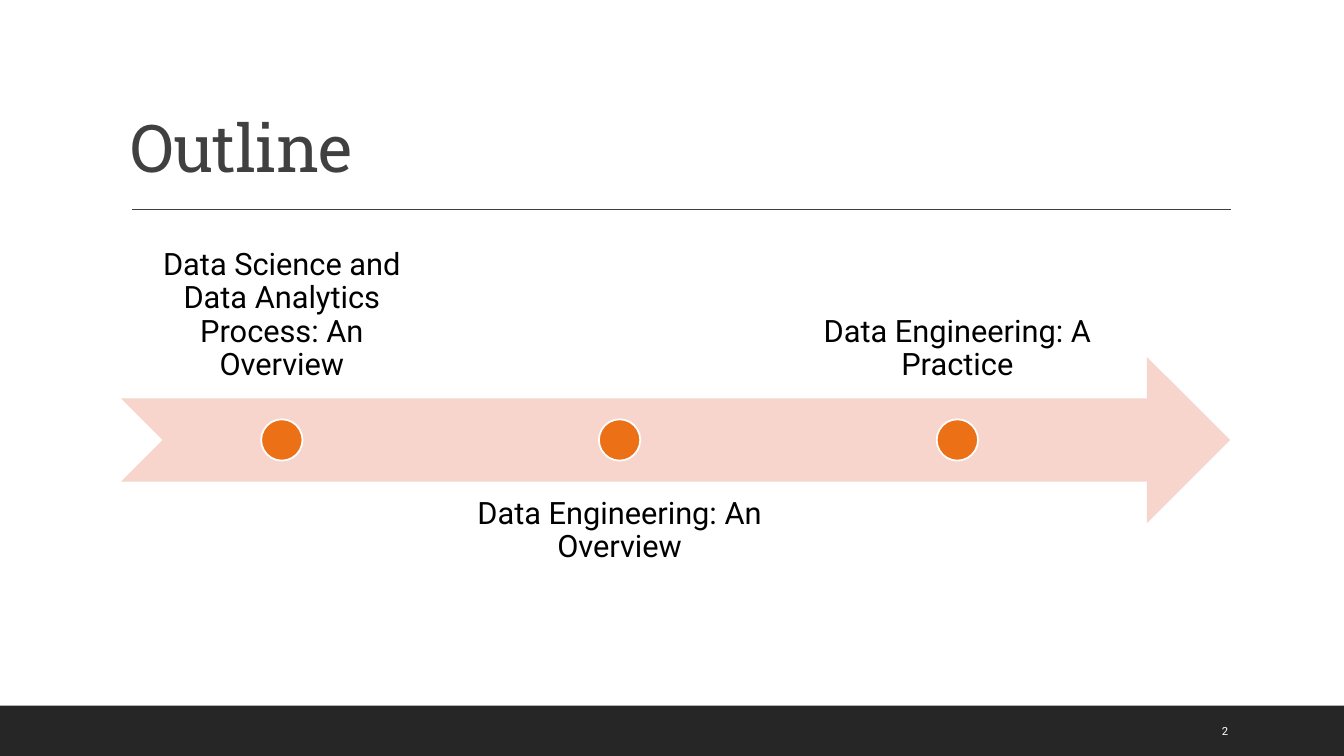
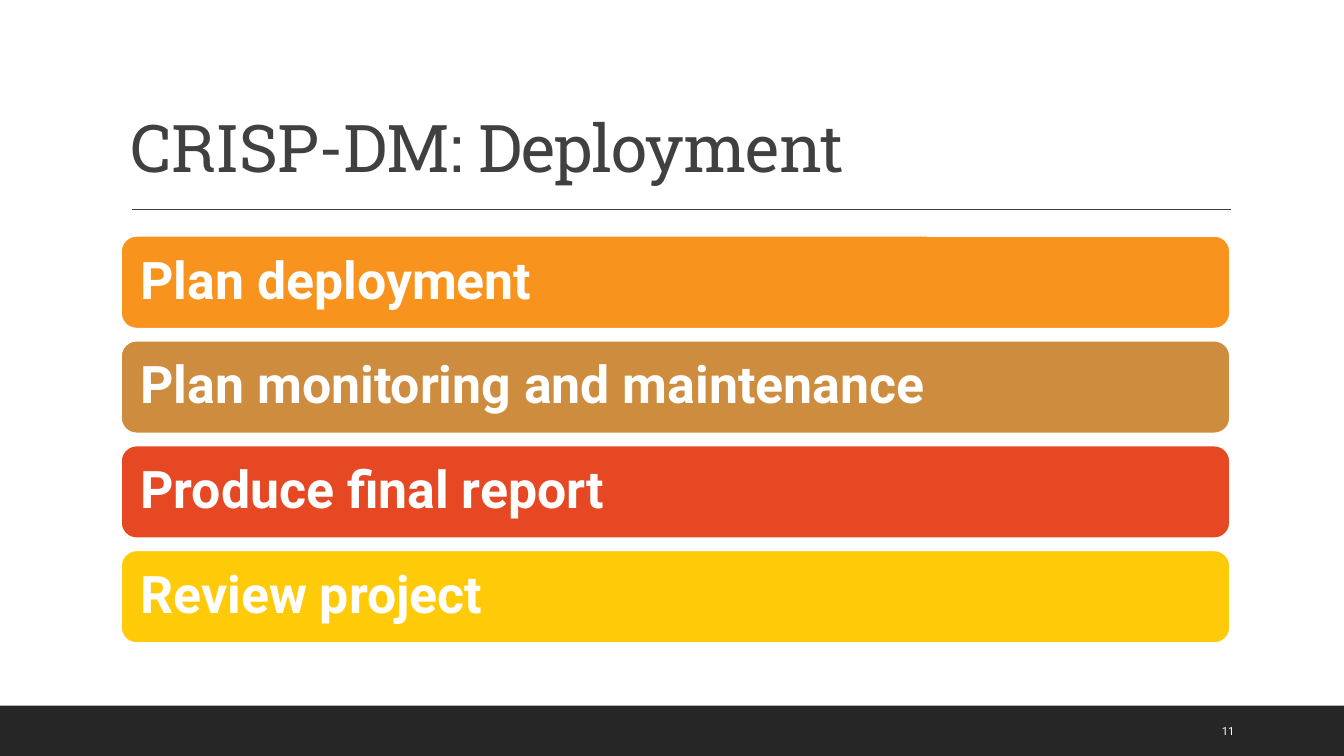
"""Builds an outline timeline slide and a deployment list slide."""
from lxml import etree
from pptx import Presentation
from pptx.dml.color import RGBColor
from pptx.enum.shapes import MSO_CONNECTOR, MSO_SHAPE
from pptx.enum.text import MSO_ANCHOR, PP_ALIGN
from pptx.oxml.ns import qn
from pptx.util import Inches, Pt

TOP, MIDDLE, BOTTOM = MSO_ANCHOR.TOP, MSO_ANCHOR.MIDDLE, MSO_ANCHOR.BOTTOM
LEFT, CENTER = PP_ALIGN.LEFT, PP_ALIGN.CENTER
RECTANGLE, ROUNDED = MSO_SHAPE.RECTANGLE, MSO_SHAPE.ROUNDED_RECTANGLE
OVAL, ARROW = MSO_SHAPE.OVAL, MSO_SHAPE.NOTCHED_RIGHT_ARROW
STRAIGHT = MSO_CONNECTOR.STRAIGHT

BODY_FONT, TITLE_FONT = "Roboto", "Roboto Slab"
WHITE, BLACK, GRAY, DARK = "FFFFFF", "000000", "404040", "262626"
PINK, ORANGE = "F8D5CC", "EC7016"
WIDTH, HEIGHT = 13.33, 7.5
CONTENT_LEFT, CONTENT_WIDTH = 1.2, 11

OUTLINE = {
    "title": "Outline",
    "number": 2,
    "milestones": [
        "Data Science and Data Analytics Process: An Overview",
        "Data Engineering: An Overview",
        "Data Engineering: A Practice",
    ],
}
DEPLOYMENT = {
    "title": "CRISP-DM: Deployment",
    "number": 11,
    "steps": [
        ("Plan deployment", "F8931D"),
        ("Plan monitoring and maintenance", "CE8D3E"),
        ("Produce final report", "E64823"),
        ("Review project", "FFCA08"),
    ],
}


def color(value):
    """Turn a hex string into a colour."""
    return RGBColor.from_string(value)


def write(shape, text, size, tint, font=BODY_FONT, bold=False, align=LEFT,
          anchor=MIDDLE, inset=(0.1, 0.05), spacing=0.9):
    """Put one styled paragraph into a shape and return its run."""
    frame = shape.text_frame
    frame.word_wrap = True
    frame.vertical_anchor = anchor
    frame.margin_left = frame.margin_right = Inches(inset[0])
    frame.margin_top = frame.margin_bottom = Inches(inset[1])
    para = frame.paragraphs[0]
    para.text = text
    para.alignment = align
    para.line_spacing = spacing
    span = para.runs[0]
    span.font.name = font
    span.font.size = Pt(size)
    span.font.bold = bold
    span.font.color.rgb = color(tint)
    return span


def add_box(page, left, top, width, height):
    """Add an empty text box."""
    return page.shapes.add_textbox(*map(Inches, (left, top, width, height)))


def add_figure(page, kind, left, top, width, height, fill, outline=None):
    """Add a flat filled shape, with an outline if a colour is given."""
    shape = page.shapes.add_shape(kind, *map(Inches, (left, top, width, height)))
    shape.shadow.inherit = False
    shape.fill.solid()
    shape.fill.fore_color.rgb = color(fill)
    if outline:
        shape.line.color.rgb = color(outline)
        shape.line.width = Pt(1.25)
    else:
        shape.line.fill.background()
    return shape


def add_page(deck, content):
    """Add a slide with the shared band, rule, title and number."""
    page = deck.slides.add_slide(deck.slide_layouts[6])
    add_figure(page, RECTANGLE, 0, 7, WIDTH, 0.5, DARK)
    rule = page.shapes.add_connector(STRAIGHT, *map(Inches, (1.31, 2.08, 12.21, 2.08)))
    rule.line.color.rgb = color(GRAY)
    rule.line.width = Pt(1)
    etree.SubElement(rule._element.spPr, qn("a:effectLst"))
    title = add_box(page, CONTENT_LEFT, 0.31, CONTENT_WIDTH, 1.59)
    span = write(title, content["title"], 47, GRAY, TITLE_FONT, anchor=BOTTOM)
    span._r.get_or_add_rPr().set("spc", "-50")
    number = add_box(page, 12.02, 7.05, 0.85, 0.4)
    write(number, str(content["number"]), 8, WHITE, spacing=1)
    return page


def add_timeline(page, milestones):
    """Draw the arrow with labels alternating above and below it."""
    arrow_top, arrow_height = 3.54, 1.65
    label_width, label_height, step, dot = 3.19, 1.65, 3.35, 0.41
    add_figure(page, ARROW, CONTENT_LEFT, arrow_top, CONTENT_WIDTH, arrow_height, PINK)
    for index, text in enumerate(milestones):
        left = CONTENT_LEFT + index * step
        top, anchor = (4.77, TOP) if index % 2 else (2.31, BOTTOM)
        label = add_box(page, left, top, label_width, label_height)
        write(label, text, 22, BLACK, align=CENTER, anchor=anchor, inset=(0.17, 0.17))
        add_figure(page, OVAL, left + (label_width - dot) / 2,
                   arrow_top + (arrow_height - dot) / 2, dot, dot, ORANGE, WHITE)


def add_bars(page, steps):
    """Stack one rounded bar per step."""
    for index, (text, fill) in enumerate(steps):
        bar = add_figure(page, ROUNDED, CONTENT_LEFT, 2.34 + index * 1.04,
                         CONTENT_WIDTH, 0.92, fill, WHITE)
        write(bar, text, 37, WHITE, bold=True, inset=(0.15, 0.05))


def main():
    """Build and save the deck."""
    deck = Presentation()
    deck.slide_width, deck.slide_height = Inches(WIDTH), Inches(HEIGHT)
    add_timeline(add_page(deck, OUTLINE), OUTLINE["milestones"])
    add_bars(add_page(deck, DEPLOYMENT), DEPLOYMENT["steps"])
    deck.save("out.pptx")


if __name__ == "__main__":
    main()
